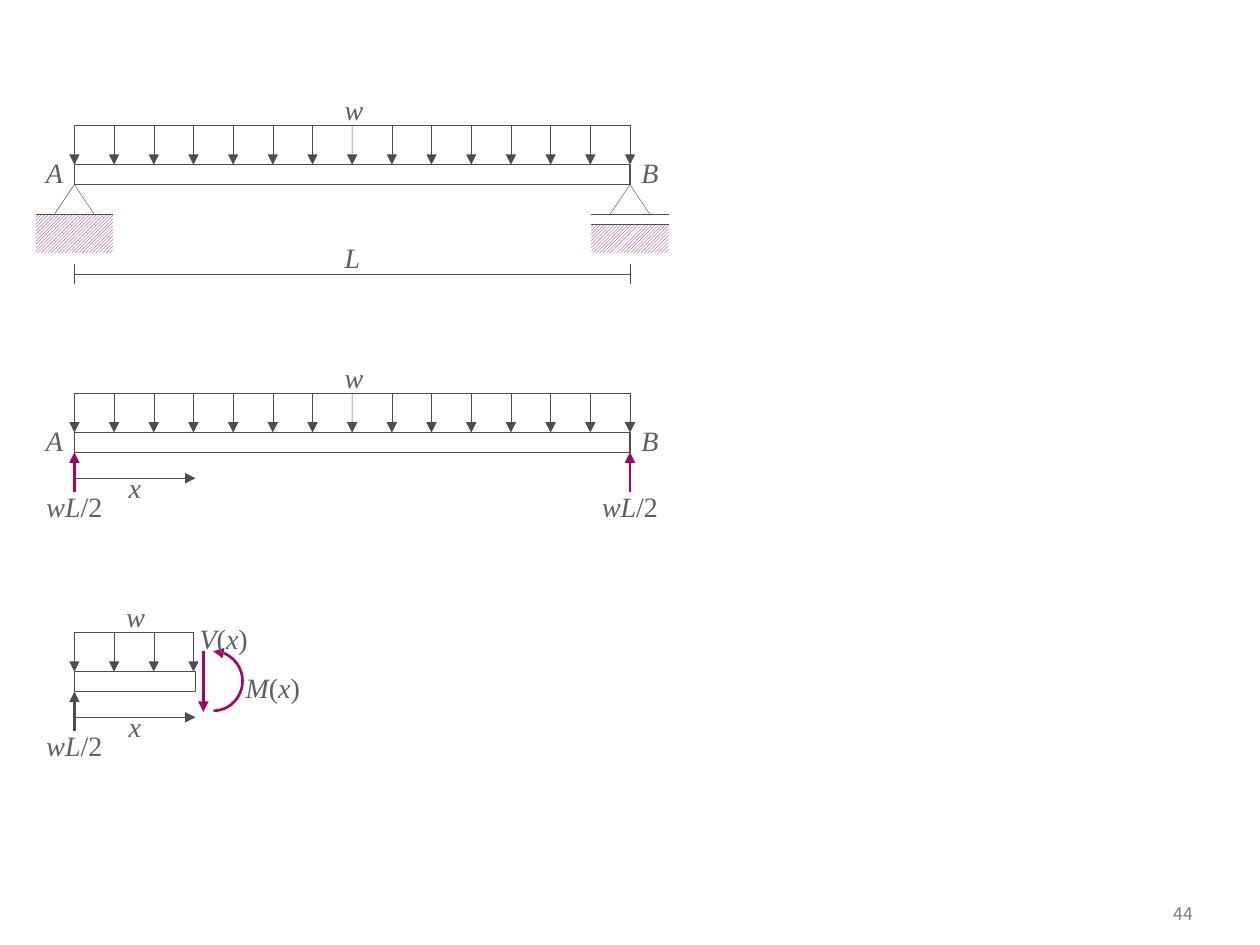
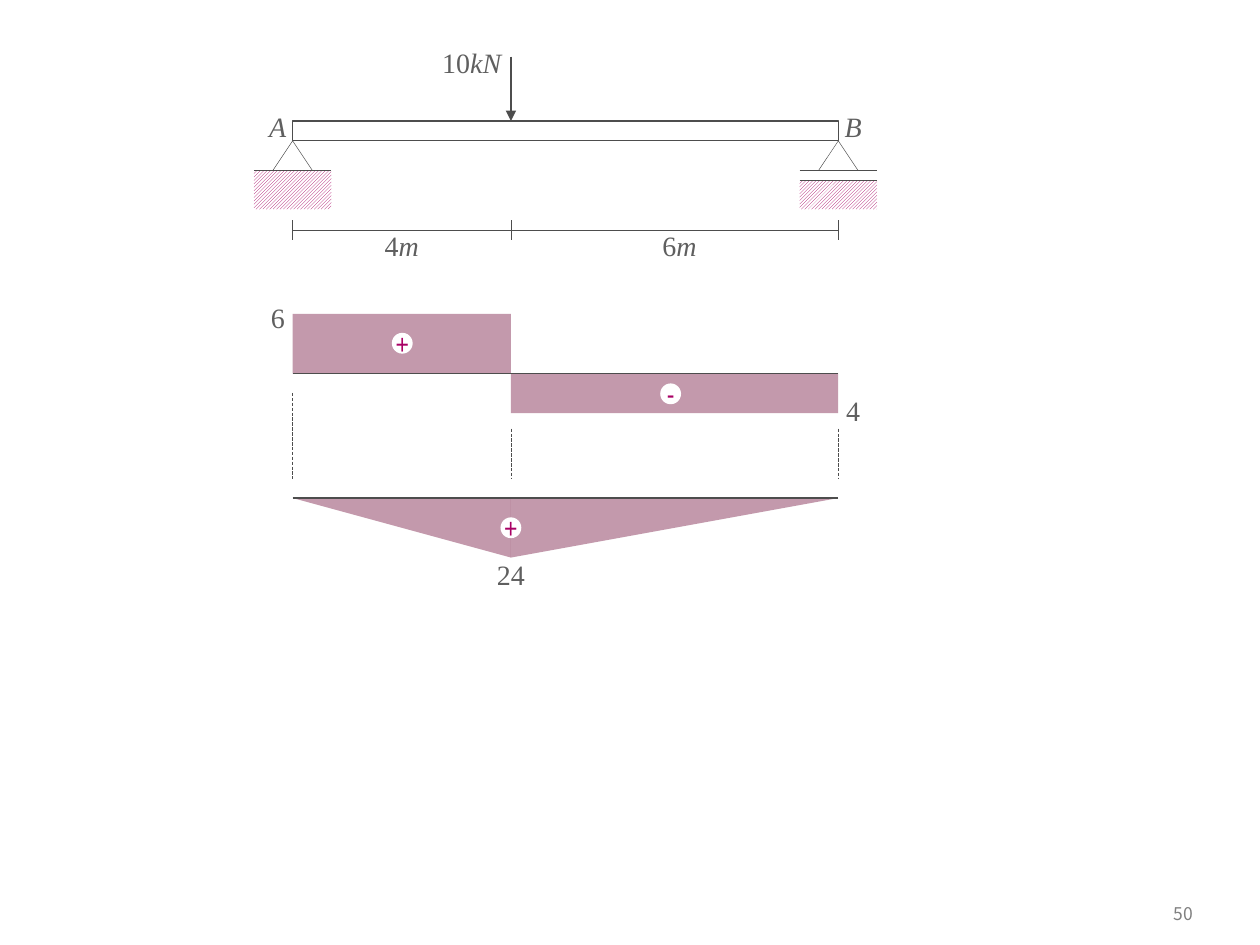
from itertools import groupby

from lxml.etree import SubElement
from pptx import Presentation
from pptx.dml.color import RGBColor
from pptx.enum.dml import MSO_LINE, MSO_PATTERN
from pptx.enum.shapes import MSO_CONNECTOR, MSO_SHAPE
from pptx.enum.text import MSO_ANCHOR, PP_ALIGN
from pptx.oxml.ns import qn
from pptx.util import Cm, Pt

INK = RGBColor(0x4D, 0x4D, 0x4D)
LABEL = RGBColor(0x5F, 0x5F, 0x5F)
NUMBER = RGBColor(0x80, 0x80, 0x80)
MAGENTA = RGBColor(0xA9, 0x01, 0x65)
WINE = RGBColor(0x6B, 0x01, 0x31)
WHITE = RGBColor(0xFF, 0xFF, 0xFF)

BEAM_DEPTH = 0.4
LOAD_PITCH = 0.8
LOAD_HEIGHT = 0.8
GROUND_HALF = 0.78


def add_line(slide, x1, y1, x2, y2, color=INK, width=0.25, arrow=False):
    line = slide.shapes.add_connector(MSO_CONNECTOR.STRAIGHT, Cm(x1), Cm(y1), Cm(x2), Cm(y2))
    line.line.color.rgb = color
    line.line.width = Pt(width)
    properties = line._element.spPr
    if arrow:
        SubElement(properties.find(qn("a:ln")), qn("a:tailEnd"), type="triangle")
    SubElement(properties, qn("a:effectLst"))
    return line


def add_label(slide, text, center, top, width, padded=True):
    height = 0.94 if padded else 0.69
    box = slide.shapes.add_textbox(Cm(center - width / 2), Cm(top), Cm(width), Cm(height))
    frame = box.text_frame
    frame.word_wrap = True
    if not padded:
        frame.margin_left = frame.margin_right = frame.margin_top = frame.margin_bottom = 0
    paragraph = frame.paragraphs[0]
    paragraph.alignment = PP_ALIGN.CENTER
    for is_symbol, letters in groupby(text, str.isalpha):
        run = paragraph.add_run()
        run.text = "".join(letters)
        run.font.name = "Times New Roman"
        run.font.size = Pt(16)
        run.font.color.rgb = LABEL
        run.font.italic = is_symbol


prs = Presentation()
prs.slide_width = Cm(25.4)
prs.slide_height = Cm(19.05)
uniform, point = [prs.slides.add_slide(prs.slide_layouts[6]) for _ in range(2)]

for slide, number in ((uniform, "44"), (point, "50")):
    page = slide.shapes.add_textbox(Cm(22.5), Cm(18), Cm(1.8), Cm(0.84)).text_frame
    page.word_wrap = True
    page.vertical_anchor = MSO_ANCHOR.MIDDLE
    page.text = number
    page.paragraphs[0].alignment = PP_ALIGN.RIGHT
    font = page.paragraphs[0].runs[0].font
    font.name = "Noto Sans CJK KR"
    font.size = Pt(10)
    font.color.rgb = NUMBER

LEFT, RIGHT = 1.5, 12.7
SPAN_TOP, FREE_TOP, CUT_TOP = 3.32, 8.72, 13.54
CUT_LENGTH = 2.44
A, LOAD, B = 5.9, 10.3, 16.9
POINT_TOP = 2.44

supports = (
    (uniform, LEFT, SPAN_TOP, False),
    (uniform, RIGHT, SPAN_TOP, True),
    (point, A, POINT_TOP, False),
    (point, B, POINT_TOP, True),
)
for slide, x, beam_top, roller in supports:
    pin_top = beam_top + BEAM_DEPTH
    ground_top = pin_top + (0.8 if roller else 0.6)
    ground = slide.shapes.add_shape(MSO_SHAPE.RECTANGLE, Cm(x - GROUND_HALF), Cm(ground_top),
                                    Cm(2 * GROUND_HALF), Cm(pin_top + 1.38 - ground_top))
    ground.shadow.inherit = False
    ground.fill.patterned()
    ground.fill.pattern = MSO_PATTERN.LIGHT_UPWARD_DIAGONAL
    ground.fill.fore_color.rgb = MAGENTA
    ground.fill.back_color.rgb = WHITE
    ground.line.fill.background()
    for y in sorted({pin_top + 0.6, ground_top}):
        add_line(slide, x - GROUND_HALF, y, x + GROUND_HALF, y)
    pin = slide.shapes.add_shape(MSO_SHAPE.ISOSCELES_TRIANGLE, Cm(x - 0.4), Cm(pin_top), Cm(0.8), Cm(0.6))
    pin.shadow.inherit = False
    pin.fill.background()
    pin.line.color.rgb = INK
    pin.line.width = Pt(0.25)

beams = (
    (uniform, LEFT, SPAN_TOP, RIGHT - LEFT, 14),
    (uniform, LEFT, FREE_TOP, RIGHT - LEFT, 14),
    (uniform, LEFT, CUT_TOP, CUT_LENGTH, 3),
    (point, A, POINT_TOP, B - A, 0),
)
for slide, x, top, length, load_gaps in beams:
    beam = slide.shapes.add_shape(MSO_SHAPE.RECTANGLE, Cm(x), Cm(top), Cm(length), Cm(BEAM_DEPTH))
    beam.shadow.inherit = False
    beam.line.color.rgb = INK
    beam.line.width = Pt(0.75)
    if not load_gaps:
        beam.fill.solid()
        beam.fill.fore_color.rgb = WHITE
        continue
    beam.fill.background()
    load_top = top - LOAD_HEIGHT
    load_end = x + load_gaps * LOAD_PITCH
    add_line(slide, load_end, load_top, x, load_top)
    for i in range(load_gaps + 1):
        load_x = x + i * LOAD_PITCH
        load_arrow = add_line(slide, load_x, load_top, load_x, top, arrow=True)
        if 2 * i == load_gaps:
            load_arrow.end_connect(beam, 0)
    add_label(slide, "w", (x + load_end) / 2, load_top - 0.78, 0.8)

for top in (SPAN_TOP, FREE_TOP):
    add_label(uniform, "A", LEFT - 0.4, top - 0.3, 1.2)
    add_label(uniform, "B", RIGHT + 0.4, top - 0.3, 1.2)

for slide, top, marks in ((uniform, SPAN_TOP, (LEFT, RIGHT)), (point, POINT_TOP, (A, LOAD, B))):
    dimension_y = top + BEAM_DEPTH + 1.8
    add_line(slide, marks[0], dimension_y, marks[-1], dimension_y)
    for x in marks:
        add_line(slide, x, dimension_y - 0.2, x, dimension_y + 0.2)
add_label(uniform, "L", (LEFT + RIGHT) / 2, 4.72, 0.8)

for x, top, color in ((LEFT, FREE_TOP, MAGENTA), (RIGHT, FREE_TOP, MAGENTA), (LEFT, CUT_TOP, INK)):
    bottom = top + BEAM_DEPTH
    add_line(uniform, x, bottom + 0.8, x, bottom, color, 1.5, True)
    add_label(uniform, "wL/2", x, bottom + 0.63, 2)
for top in (FREE_TOP, CUT_TOP):
    distance_y = top + BEAM_DEPTH + 0.52
    add_line(uniform, LEFT, distance_y, LEFT + CUT_LENGTH, distance_y, arrow=True)
    add_label(uniform, "x", LEFT + CUT_LENGTH / 2, distance_y - 0.28, 0.84)

add_line(uniform, 4.1, 13.13, 4.1, 14.35, MAGENTA, 1.5, True)
moment = uniform.shapes.add_shape(MSO_SHAPE.ARC, Cm(3.71), Cm(13.13), Cm(1.18), Cm(1.2))
moment.shadow.inherit = False
moment.adjustments[0] = 162.37
moment.adjustments[1] = 54
moment.fill.background()
moment.line.color.rgb = MAGENTA
moment.line.width = Pt(1.5)
moment._element.spPr.xfrm.set("flipV", "1")
SubElement(moment._element.spPr.find(qn("a:ln")), qn("a:tailEnd"), type="triangle")
add_label(uniform, "V(x)", 4.51, 12.4, 2)
add_label(uniform, "M(x)", 5.5, 13.39, 2)

add_line(point, LOAD, 1.14, LOAD, POINT_TOP, width=1.5, arrow=True)

SHEAR_Y, MOMENT_Y = 7.53, 10.04
diagram_areas = (
    (MSO_SHAPE.RECTANGLE, A, LOAD, SHEAR_Y - 1.2, 1.2, None),
    (MSO_SHAPE.RECTANGLE, LOAD, B, SHEAR_Y, 0.8, None),
    (MSO_SHAPE.ISOSCELES_TRIANGLE, A, LOAD, MOMENT_Y, 1.2, 0),
    (MSO_SHAPE.ISOSCELES_TRIANGLE, LOAD, B, MOMENT_Y, 1.2, 1),
)
for kind, start, end, top, height, apex in diagram_areas:
    area = point.shapes.add_shape(kind, Cm(start), Cm(top), Cm(end - start), Cm(height))
    area.shadow.inherit = False
    area.fill.solid()
    area.fill.fore_color.rgb = WINE
    SubElement(area._element.spPr.find(qn("a:solidFill"))[0], qn("a:alpha"), val="40000")
    area.line.fill.background()
    if apex is not None:
        area.rotation = 180
        area.adjustments[0] = apex

for axis_y in (SHEAR_Y, MOMENT_Y):
    add_line(point, A, axis_y, B, axis_y, width=0.75)
for x, top in ((A, 7.92), (LOAD, 8.64), (B, 8.64)):
    add_line(point, x, top, x, 9.65).line.dash_style = MSO_LINE.LONG_DASH

for sign, x, y in (("+", 8.11, 6.92), ("-", 13.52, 7.94), ("+", LOAD, 10.64)):
    badge = point.shapes.add_shape(MSO_SHAPE.OVAL, Cm(x - 0.21), Cm(y - 0.21), Cm(0.42), Cm(0.42))
    badge.shadow.inherit = False
    badge.fill.solid()
    badge.fill.fore_color.rgb = WHITE
    badge.line.fill.background()
    frame = badge.text_frame
    frame.word_wrap = False
    frame.vertical_anchor = MSO_ANCHOR.MIDDLE
    frame.text = sign
    frame.paragraphs[0].alignment = PP_ALIGN.CENTER
    font = frame.paragraphs[0].runs[0].font
    font.name = "Arial Narrow"
    font.size = Pt(16)
    font.color.rgb = MAGENTA

point_labels = (
    ("10kN", 9.51, 0.91, 1.6),
    ("A", A - 0.3, 2.21, 0.6),
    ("B", B + 0.3, 2.21, 0.6),
    ("4m", (A + LOAD) / 2, 4.6, 1.2),
    ("6m", 13.7, 4.6, 1.2),
    ("6", A - 0.3, 6.05, 0.6),
    ("4", B + 0.3, 7.94, 0.6),
    ("24", LOAD, 11.25, 0.8),
)
for text, center, top, width in point_labels:
    add_label(point, text, center, top, width, padded=False)

prs.save("out.pptx")
